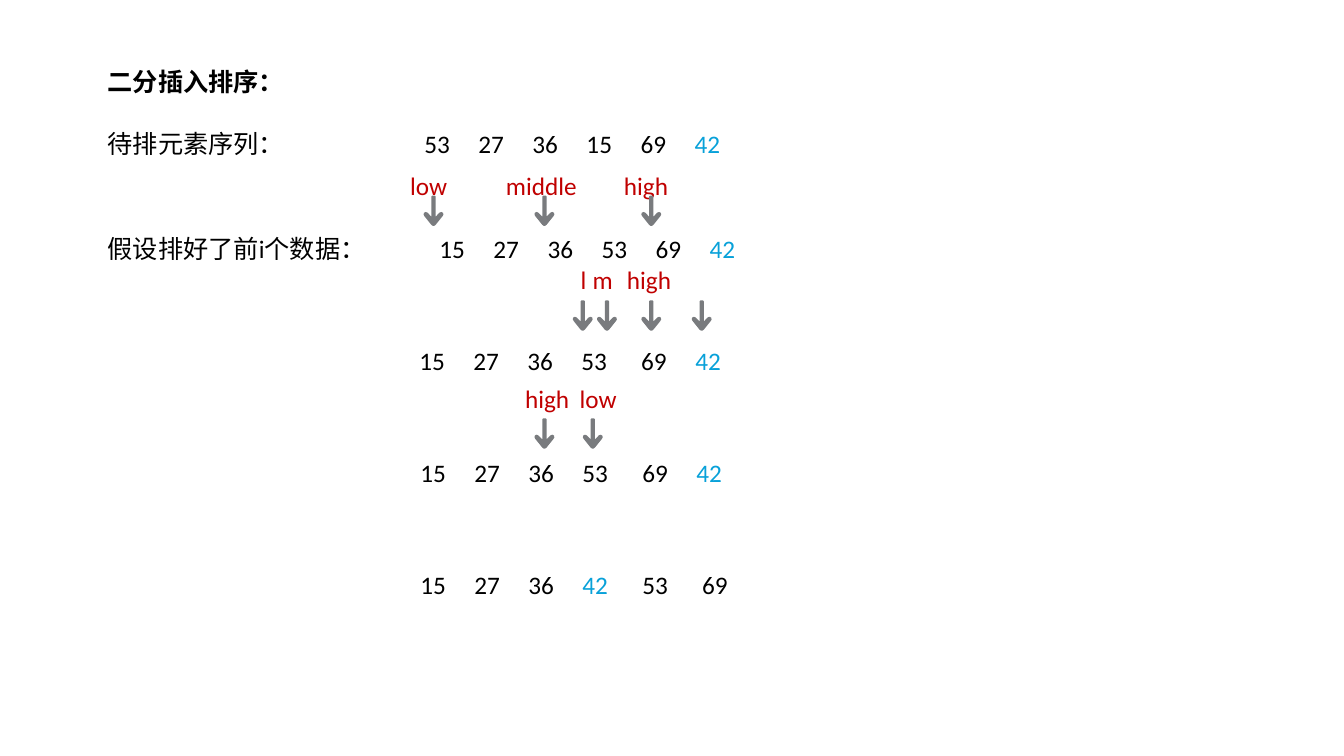
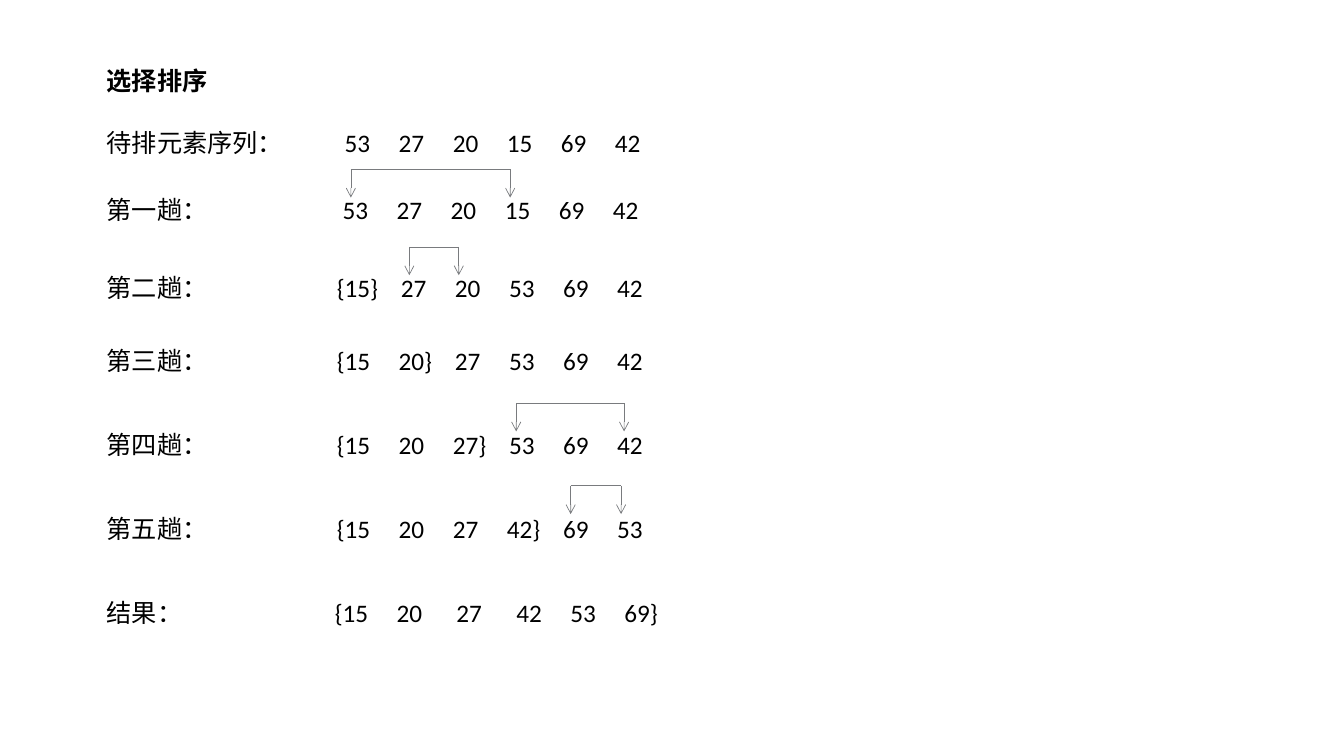
"""Build two slides that trace binary insertion sort and selection sort."""
from lxml.etree import SubElement
from pptx import Presentation
from pptx.dml.color import RGBColor
from pptx.enum.shapes import MSO_CONNECTOR as Connector
from pptx.oxml.ns import qn
from pptx.util import Inches, Pt

COLORS = {"ink": "000000", "key": "08A1D9", "pointer": "C00000", "arrow": "797B7E"}
COLUMN_PITCH = Pt(38.6)
WIDE_GAP = Pt(4.1)
BRACE_WIDTH = Pt(5.6)
BRACE_GAP = Pt(1.6)
ARROW_HALF = [(12, 0), (21, 10), (21, 210), (60, 170), (78, 163), (95, 172),
              (98, 190), (90, 205), (22, 290), (8, 300)]


class Deck:
    """Hold the shared style and the slide being filled."""

    def __init__(self):
        self.prs = Presentation()
        self.prs.slide_width, self.prs.slide_height = Inches(13.33), Inches(7.5)

    def new_slide(self):
        self.shapes = self.prs.slides.add_slide(self.prs.slide_layouts[6]).shapes

    def color(self, name):
        return RGBColor.from_string(COLORS[name])

    def style(self, paragraph, color="ink", bold=False):
        font = paragraph.font
        font.name, font.size, font.bold = "Calibri", Pt(18), bold
        font.color.rgb = self.color(color)

    def text_frame(self, left, top, width, height):
        frame = self.shapes.add_textbox(
            Inches(left), Inches(top), Inches(width), Inches(height)).text_frame
        frame.word_wrap = True
        return frame

    def body(self, left, top, width, height, title):
        self.frame = self.text_frame(left, top, width, height)
        heading = self.frame.paragraphs[0]
        heading.text = title
        self.style(heading, bold=True)

    def row(self, label, numbers, start, pitch, wide=(), key=None):
        line = self.frame.add_paragraph()
        self.style(line)
        line.line_spacing = Pt(pitch)
        line.add_run().text = label
        stops = line.font._element.makeelement(qn("a:tabLst"))
        line.font._element.addprevious(stops)
        position, cells = Inches(start), numbers.split()
        for column, cell in enumerate(cells):
            if column:
                position += COLUMN_PITCH
                position += WIDE_GAP if column in wide else 0
                position += BRACE_GAP if cells[column - 1].endswith("}") else 0
            hang = BRACE_WIDTH if cell.startswith("{") else 0
            SubElement(stops, qn("a:tab"), pos=str(int(position - hang)), algn="l")
            number = line.add_run()
            number.text = "\t" + cell
            if cell == key:
                number.font.color.rgb = self.color("key")

    def pointer(self, text, left, top, width):
        name = self.text_frame(left, top, width, 0.4).paragraphs[0]
        name.text = text
        self.style(name, "pointer")

    def down_arrow(self, center, top):
        outline = ARROW_HALF + [(-x, y) for x, y in reversed(ARROW_HALF)]
        builder = self.shapes.build_freeform(*outline[0], scale=Inches(1) / 1000)
        builder.add_line_segments(outline[1:], close=True)
        arrow = builder.convert_to_shape(Inches(center), Inches(top))
        arrow.shadow.inherit = False
        arrow.fill.solid()
        arrow.fill.fore_color.rgb = self.color("arrow")
        arrow.line.fill.background()

    def line(self, x1, y1, x2, y2, arrow=False):
        link = self.shapes.add_connector(
            Connector.STRAIGHT, Inches(x1), Inches(y1), Inches(x2), Inches(y2))
        link.line.width = Pt(0.5)
        link.line.color.rgb = self.color("arrow")
        if arrow:
            SubElement(link.line._get_or_add_ln(), qn("a:tailEnd"), type="arrow")
        SubElement(link._element.spPr, qn("a:effectLst"))

    def swap(self, left, right, top):
        self.line(left, top, right, top)
        for x in (left, right):
            self.line(x, top, x, top + 0.28, arrow=True)


deck = Deck()

deck.new_slide()
deck.body(0.97, 0.61, 7.38, 6.55, "二分插入排序：")
for label, numbers, start, pitch, wide in [
        ("待排元素序列：", "53 27 36 15 69 42", 3.14, 44, ()),
        ("假设排好了前i个数据：", "15 27 36 53 69 42", 3.29, 75, ()),
        ("", "15 27 36 53 69 42", 3.09, 80, (4,)),
        ("", "15 27 36 53 69 42", 3.1, 80, (4,)),
        ("", "15 27 36 42 53 69", 3.1, 80, (4, 5))]:
    deck.row(label, numbers, start, pitch, wide, key="42")
for top, pointers in [
        (1.64, [("low", 3.97, 0.65), ("middle", 4.92, 0.96), ("high", 6.09, 0.74)]),
        (2.57, [("l", 5.66, 0.23), ("m", 5.78, 0.38), ("high", 6.12, 0.67)]),
        (3.75, [("high", 5.11, 0.67), ("low", 5.65, 0.65)])]:
    for text, left, width in pointers:
        deck.pointer(text, left, top, width)
for top, centers in [(1.94, (4.3, 5.4, 6.46)),
                     (2.98, (5.78, 6.02, 6.46, 6.96)),
                     (4.15, (5.4, 5.88))]:
    for center in centers:
        deck.down_arrow(center, top)

deck.new_slide()
deck.body(0.96, 0.6, 9.39, 6.15, "选择排序")
for label, numbers, start, pitch, wide in [
        ("待排元素序列：", "53 27 20 15 69 42", 2.36, 44, ()),
        ("第一趟：", "53 27 20 15 69 42", 2.34, 48, ()),
        ("第二趟：", "{15} 27 20 53 69 42", 2.36, 56, ()),
        ("第三趟：", "{15 20} 27 53 69 42", 2.36, 52, ()),
        ("第四趟：", "{15 20 27} 53 69 42", 2.36, 60, ()),
        ("第五趟：", "{15 20 27 42} 69 53", 2.36, 60, ()),
        ("结果：", "{15 20 27 42 53 69}", 2.34, 60, (2, 3))]:
    deck.row(label, numbers, start, pitch, wide)
for left, right, top in [(3.48, 5.06, 1.68), (4.06, 4.55, 2.45),
                         (5.12, 6.19, 4), (5.66, 6.16, 4.82)]:
    deck.swap(left, right, top)

deck.prs.save("out.pptx")
